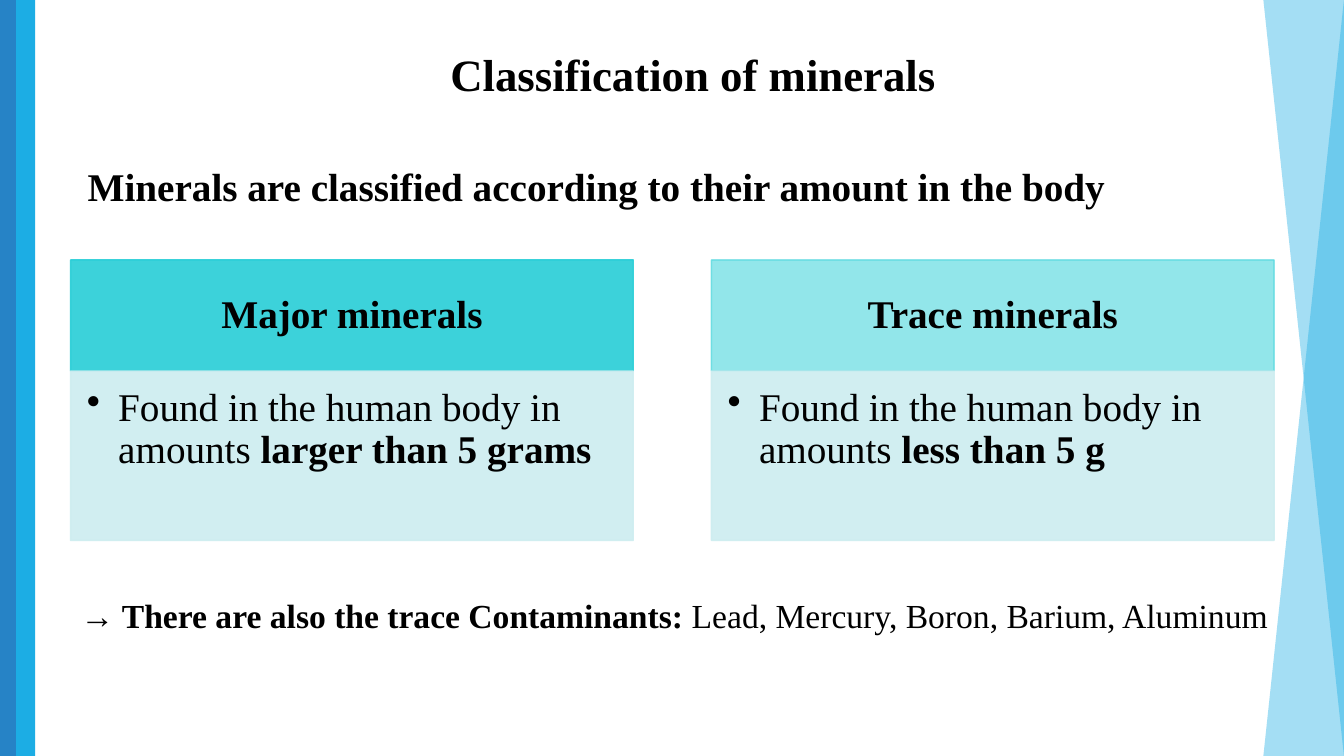
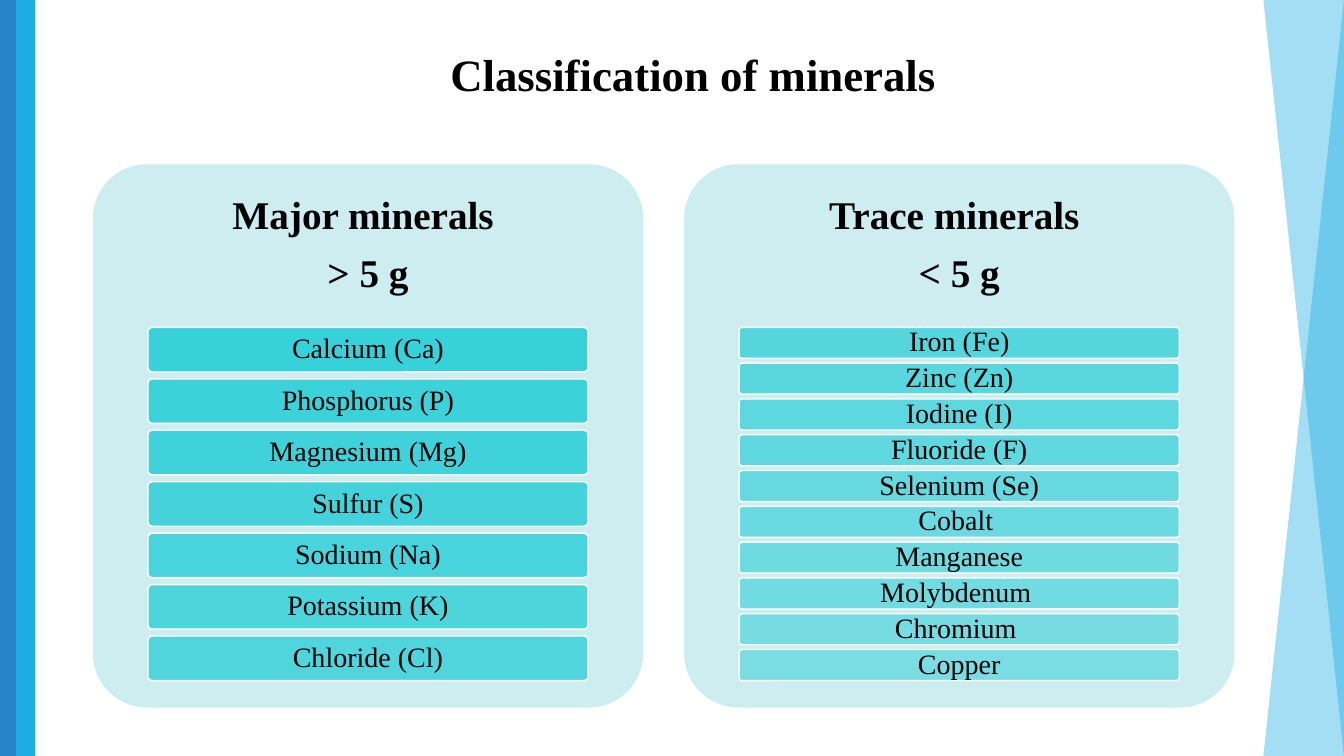
from dataclasses import dataclass

from lxml import etree
from pptx import Presentation
from pptx.dml.color import RGBColor
from pptx.enum.shapes import MSO_SHAPE
from pptx.enum.text import MSO_ANCHOR, MSO_AUTO_SIZE, PP_ALIGN
from pptx.oxml.ns import qn
from pptx.util import Cm, Pt

RECTANGLE = MSO_SHAPE.RECTANGLE
ROUNDED = MSO_SHAPE.ROUNDED_RECTANGLE
RIGHT_TRIANGLE = MSO_SHAPE.RIGHT_TRIANGLE
TOP, MIDDLE = MSO_ANCHOR.TOP, MSO_ANCHOR.MIDDLE
LEFT, CENTER = PP_ALIGN.LEFT, PP_ALIGN.CENTER

FONT = "Times New Roman"
BLACK, WHITE = "000000", "FFFFFF"
BLUE, SKY = "2683C6", "1CADE4"
TURQUOISE, PALE = "27CED7", "CDEDF0"
SLIDE_WIDTH, SLIDE_HEIGHT = 33.87, 19.05
TITLE = "Classification of minerals"


@dataclass(frozen=True)
class Box:
    """A rectangle in centimetres."""
    left: float
    top: float
    width: float
    height: float

    def lengths(self):
        return Cm(self.left), Cm(self.top), Cm(self.width), Cm(self.height)


@dataclass(frozen=True)
class Definition:
    heading: str
    amount: str
    opacity: int


@dataclass(frozen=True)
class MineralGroup:
    heading: str
    limit: str
    minerals: tuple


DEFINITIONS = (
    Definition("Major minerals", "larger than 5 grams", 90),
    Definition("Trace minerals", "less than 5 g", 50),
)
GROUPS = (
    MineralGroup("Major minerals ", "> 5 g", (
        "Calcium (Ca)", "Phosphorus (P)", "Magnesium (Mg)", "Sulfur (S)",
        "Sodium (Na)", "Potassium (K)", "Chloride (Cl)")),
    MineralGroup("Trace minerals ", "< 5 g", (
        "Iron (Fe)", "Zinc (Zn)", "Iodine (I)", "Fluoride (F)", "Selenium (Se)",
        "Cobalt ", "Manganese", "Molybdenum ", "Chromium ", "Copper")),
)


def color(value: str) -> RGBColor:
    return RGBColor.from_string(value)


def set_opacity(parent, percent: float) -> None:
    """Make the solid fill inside a shape's or line's properties translucent."""
    alpha = etree.SubElement(parent.find(qn("a:solidFill"))[0], qn("a:alpha"))
    alpha.set("val", str(round(percent * 1000)))


def add_shape(slide, kind, box: Box, fill: str, opacity: float = 100,
              line: str = "", line_opacity: float = 100):
    shape = slide.shapes.add_shape(kind, *box.lengths())
    shape.shadow.inherit = False
    properties = shape.element.spPr
    shape.fill.solid()
    shape.fill.fore_color.rgb = color(fill)
    if opacity < 100:
        set_opacity(properties, opacity)
    if not line:
        shape.line.fill.background()
        return shape
    shape.line.color.rgb = color(line)
    shape.line.width = Pt(1)
    if line_opacity < 100:
        set_opacity(properties.find(qn("a:ln")), line_opacity)
    return shape


def set_frame(shape, margins: tuple, anchor, wrap: bool = True):
    """Margins are left, top, right and bottom in centimetres."""
    frame = shape.text_frame
    frame.auto_size = MSO_AUTO_SIZE.NONE
    frame.word_wrap = wrap
    frame.vertical_anchor = anchor
    (frame.margin_left, frame.margin_top,
     frame.margin_right, frame.margin_bottom) = map(Cm, margins)
    return frame


def format_paragraph(paragraph, size: float, bold: bool = False,
                     align=CENTER, spacing: float = 0.9) -> None:
    paragraph.alignment = align
    paragraph.line_spacing = spacing
    paragraph.space_before = Pt(0)
    for run in paragraph.runs:
        format_run(run, size, bold)


def format_run(run, size: float, bold: bool) -> None:
    run.font.name = FONT
    run.font.size = Pt(size)
    run.font.bold = bold
    run.font.color.rgb = color(BLACK)


def add_second_run(paragraph, text: str, size: float, bold: bool) -> None:
    run = paragraph.add_run()
    run.text = text
    format_run(run, size, bold)


def add_bullet(paragraph) -> None:
    properties = paragraph._p.get_or_add_pPr()
    indent = Cm(0.79)
    properties.set("marL", str(indent))
    properties.set("indent", str(-indent))
    bullet = etree.SubElement(properties, qn("a:buChar"))
    bullet.set("char", "•")


def add_side_triangle(slide, flip_vertical: bool) -> None:
    width = 2.03
    box = Box(SLIDE_WIDTH - width, 0, width, SLIDE_HEIGHT)
    triangle = add_shape(slide, RIGHT_TRIANGLE, box, SKY, 40)
    transform = triangle.element.spPr.xfrm
    transform.set("flipH", "1")
    if flip_vertical:
        transform.set("flipV", "1")


def add_base_slide(presentation):
    """Title-only slide with the side bands and the shared title style."""
    slide = presentation.slides.add_slide(presentation.slide_layouts[5])
    add_side_triangle(slide, True)
    for left, fill in ((0, BLUE), (0.41, SKY)):
        add_shape(slide, RECTANGLE, Box(left, 0, 0.48, SLIDE_HEIGHT), fill)
    add_side_triangle(slide, False)

    title = slide.shapes.title
    title.left, title.top, title.width, title.height = Box(1.9, 0.94, 31.14, 2.01).lengths()
    frame = set_frame(title, (0.25, 0.13, 0.25, 0.13), MIDDLE)
    frame.text = TITLE
    format_paragraph(frame.paragraphs[0], 32, True)
    return slide


def add_line_of_text(slide, box: Box, text: str, size: float, left_margin: float,
                     wrap: bool = True):
    shape = slide.shapes.add_textbox(*box.lengths())
    frame = set_frame(shape, (left_margin, 0.13, 0.25, 0.13), TOP, wrap)
    frame.text = text
    paragraph = frame.paragraphs[0]
    format_paragraph(paragraph, size, True, LEFT, 1.0)
    return paragraph


def add_definition(slide, definition: Definition, left: float) -> None:
    top, width, header_height, body_height = 6.55, 14.18, 2.8, 4.27
    header = add_shape(slide, RECTANGLE, Box(left, top, width, header_height),
                       TURQUOISE, definition.opacity, TURQUOISE, definition.opacity)
    frame = set_frame(header, (0.56, 0.3, 0.56, 0.3), MIDDLE)
    frame.text = definition.heading
    format_paragraph(frame.paragraphs[0], 28, True)

    body = add_shape(slide, RECTANGLE, Box(left, top + header_height, width, body_height),
                     PALE, 90, PALE, 90)
    frame = set_frame(body, (0.41, 0.41, 0.56, 0.61), TOP)
    frame.text = "Found in the human body in amounts "
    paragraph = frame.paragraphs[0]
    add_bullet(paragraph)
    format_paragraph(paragraph, 28, align=LEFT)
    add_second_run(paragraph, definition.amount, 28, True)


def add_group(slide, group: MineralGroup, left: float, first_opacity: float,
              opacity_step: float) -> None:
    top, width, height, heading_height = 4.14, 13.87, 13.69, 4.11
    panel = add_shape(slide, ROUNDED, Box(left, top, width, height), PALE)
    panel.adjustments[0] = 0.1

    # Heading and limit
    heading = slide.shapes.add_textbox(*Box(left, top, width, heading_height).lengths())
    frame = set_frame(heading, (0.3, 0.3, 0.3, 0.3), MIDDLE)
    frame.text = f"{group.heading}\n{group.limit}"
    for paragraph in frame.paragraphs:
        format_paragraph(paragraph, 28, True)
    frame.paragraphs[0].space_after = Pt(11)

    # Minerals fill a fixed height, each fainter than the one above
    count = len(group.minerals)
    gap_ratio = 2 / 13
    pill_height = 8.9 / (count + (count - 1) * gap_ratio)
    for index, mineral in enumerate(group.minerals):
        pill_top = top + heading_height + index * pill_height * (1 + gap_ratio)
        box = Box(left + 0.1 * width, pill_top, 0.8 * width, pill_height)
        pill = add_shape(slide, ROUNDED, box, TURQUOISE,
                         first_opacity - index * opacity_step, WHITE)
        pill.adjustments[0] = 0.1
        frame = set_frame(pill, (0.15, 0, 0.15, 0), MIDDLE)
        frame.text = mineral
        format_paragraph(frame.paragraphs[0], 20)


def build_definition_slide(presentation) -> None:
    slide = add_base_slide(presentation)
    add_line_of_text(slide, Box(1.78, 3.96, 26.62, 1.45),
                     "Minerals are classified according to their amount in the body",
                     28, 0.43, wrap=False)
    for index, definition in enumerate(DEFINITIONS):
        add_definition(slide, definition, 1.78 + index * 16.15)
    contaminants = add_line_of_text(slide, Box(1.78, 14.86, 30.61, 1.25),
                                    "→ There are also the trace Contaminants: ", 24, 0.25)
    add_second_run(contaminants, "Lead, Mercury, Boron, Barium, Aluminum", 24, False)


def build_mineral_slide(presentation) -> None:
    slide = add_base_slide(presentation)
    opacity, opacity_step = 90, 2.5
    for index, group in enumerate(GROUPS):
        add_group(slide, group, 2.34 + index * 14.9, opacity, opacity_step)
        opacity -= opacity_step * len(group.minerals)


def main() -> None:
    presentation = Presentation()
    presentation.slide_width = Cm(SLIDE_WIDTH)
    presentation.slide_height = Cm(SLIDE_HEIGHT)
    build_definition_slide(presentation)
    build_mineral_slide(presentation)
    presentation.save("out.pptx")


if __name__ == "__main__":
    main()
